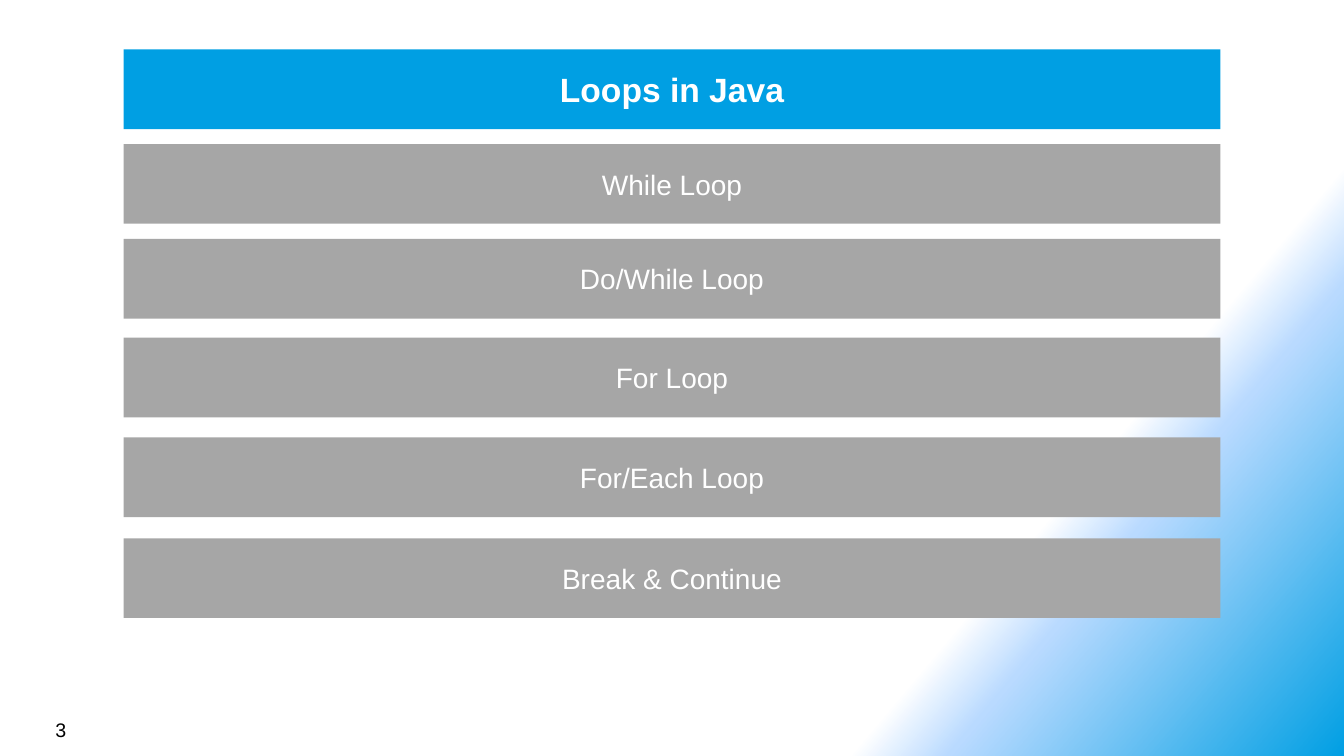
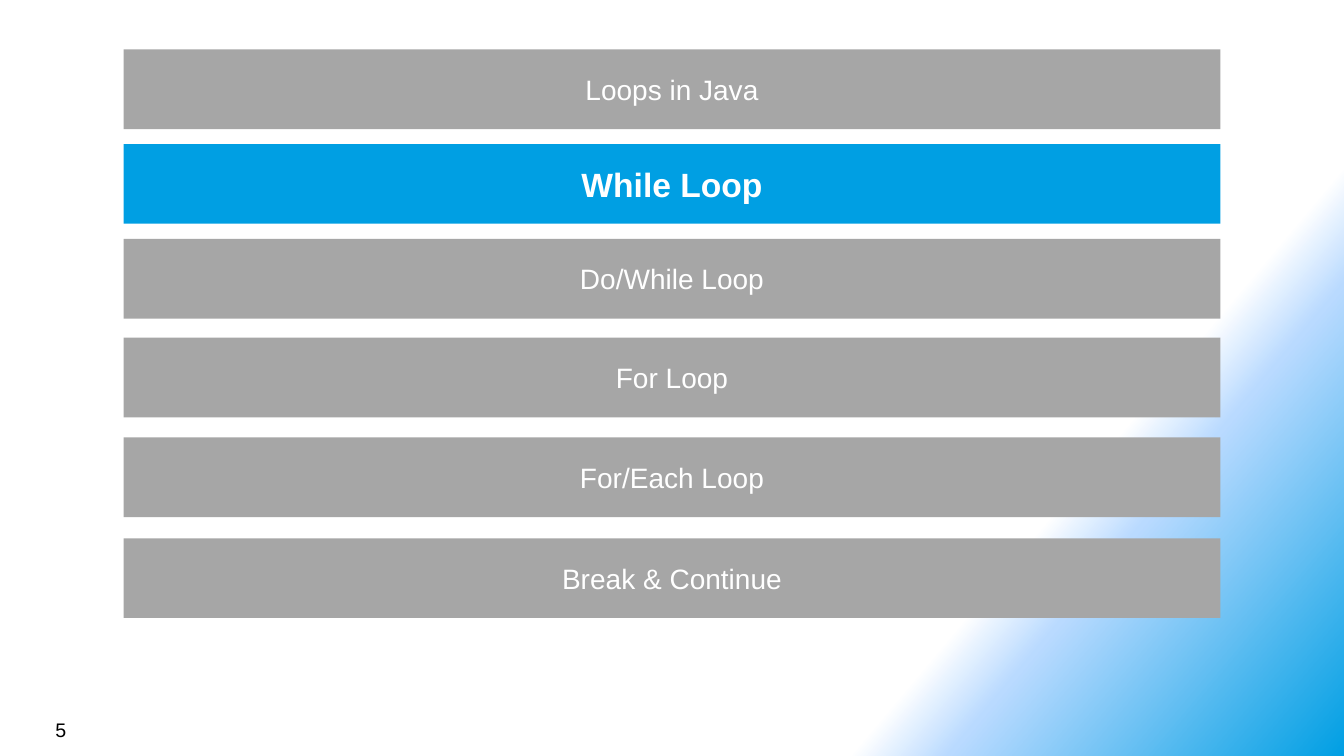
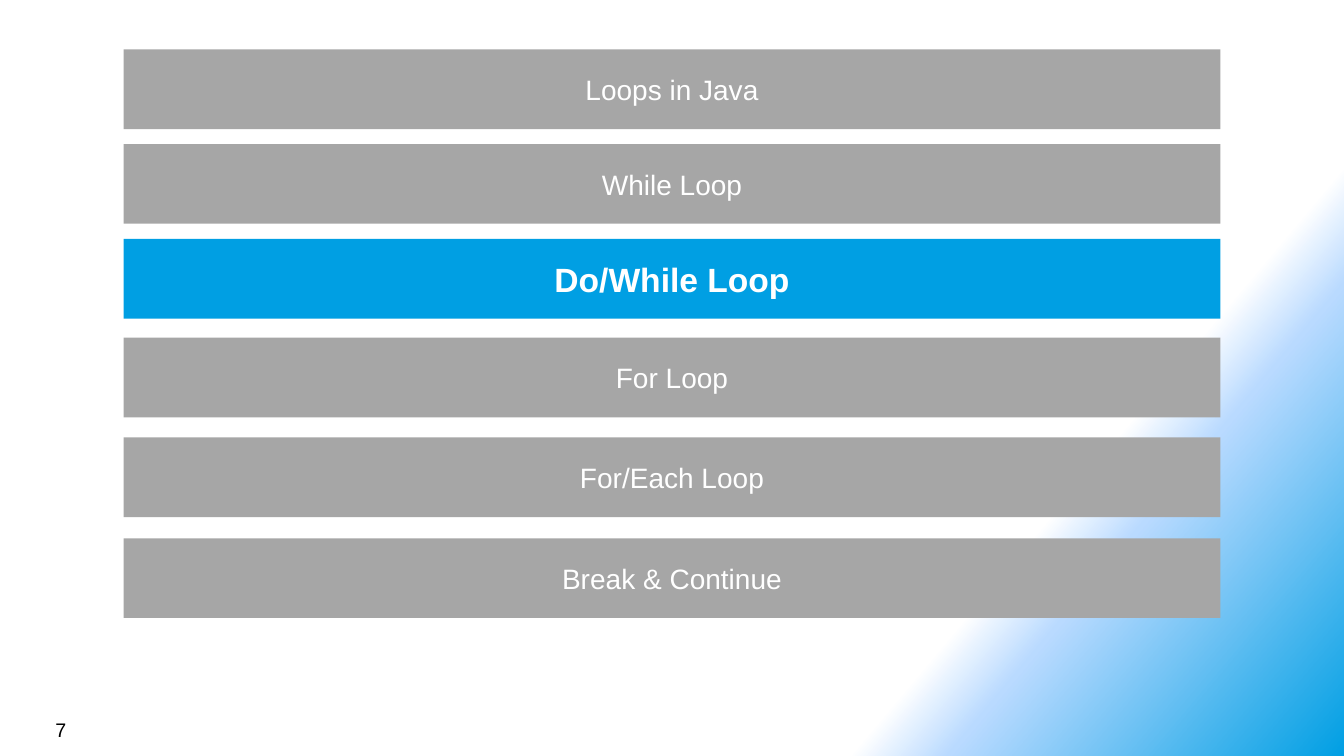
"""Build three agenda slides on Java loops, each with one topic highlighted."""
from typing import NamedTuple

from lxml import etree
from pptx import Presentation
from pptx.dml.color import RGBColor
from pptx.enum.shapes import MSO_SHAPE
from pptx.enum.text import MSO_ANCHOR, PP_ALIGN
from pptx.oxml.ns import qn
from pptx.util import Inches, Pt

RECTANGLE = MSO_SHAPE.RECTANGLE
MIDDLE = MSO_ANCHOR.MIDDLE
CENTER, LEFT = PP_ALIGN.CENTER, PP_ALIGN.LEFT

CELL = Inches(0.01)
COLUMNS, ROWS = 1333, 750
BAR_COLUMNS, BAR_ROWS = 1088, 79
BAR_LEFT = (COLUMNS - BAR_COLUMNS) / 2
BLANK_LAYOUT = 6

WHITE, BLACK, GREY, BLUE, PALE_BLUE = "FFFFFF", "000000", "A6A6A6", "009FE3", "B9DAFF"
PLAIN = {"name": "Arial", "size": Pt(20), "bold": False}
HIGHLIGHT = PLAIN | {"size": Pt(24), "bold": True}
PAGE_NUMBER = PLAIN | {"size": Pt(14)}


class Topic(NamedTuple):
    label: str
    row: int


class Agenda(NamedTuple):
    page: int
    current: str


class Stop(NamedTuple):
    percent: int
    color: str
    opacity: int = 100


TOPICS = (
    Topic("Loops in Java", 49),
    Topic("While Loop", 143),
    Topic("Do/While Loop", 237),
    Topic("For Loop", 335),
    Topic("For/Each Loop", 434),
    Topic("Break & Continue", 534),
)
AGENDAS = (
    Agenda(3, "Loops in Java"),
    Agenda(5, "While Loop"),
    Agenda(7, "Do/While Loop"),
)
BACKGROUND = (Stop(75, WHITE), Stop(80, PALE_BLUE, 50), Stop(100, BLUE))
BACKGROUND_ANGLE = 40


def rgb(color: str) -> RGBColor:
    """Turn a hex string into a colour."""
    return RGBColor.from_string(color)


def grid(*cells: float) -> list[int]:
    """Turn grid cells into lengths."""
    return [int(cell * CELL) for cell in cells]


def paint_background(master) -> None:
    """Give the master the diagonal gradient that all slides share."""
    fill = master.background.fill
    fill.gradient()
    fill.gradient_angle = 360 - BACKGROUND_ANGLE
    stops = next(master.element.iter(qn("a:gsLst")))
    for old in list(stops):
        stops.remove(old)
    for stop in BACKGROUND:
        mark = etree.SubElement(stops, qn("a:gs"), pos=str(stop.percent * 1000))
        color = etree.SubElement(mark, qn("a:srgbClr"), val=stop.color)
        if stop.opacity < 100:
            etree.SubElement(color, qn("a:alpha"), val=str(stop.opacity * 1000))


def write(frame, text: str, style: dict, color: str, alignment: PP_ALIGN) -> None:
    """Write one styled line into a text frame."""
    frame.word_wrap = True
    paragraph = frame.paragraphs[0]
    paragraph.alignment = alignment
    run = paragraph.add_run()
    run.text = text
    for attribute, value in style.items():
        setattr(run.font, attribute, value)
    run.font.color.rgb = rgb(color)


def draw_topic(slide, topic: Topic, is_current: bool) -> None:
    """Draw one topic bar, highlighted when it is the current one."""
    bar = slide.shapes.add_shape(
        RECTANGLE, *grid(BAR_LEFT, topic.row, BAR_COLUMNS, BAR_ROWS))
    bar.shadow.inherit = False
    bar.fill.solid()
    bar.fill.fore_color.rgb = rgb(BLUE if is_current else GREY)
    bar.line.fill.background()
    bar.text_frame.vertical_anchor = MIDDLE
    write(bar.text_frame, topic.label, HIGHLIGHT if is_current else PLAIN, WHITE, CENTER)


def draw_agenda(slide, agenda: Agenda) -> None:
    """Draw all topic bars and the page number."""
    for topic in TOPICS:
        draw_topic(slide, topic, topic.label == agenda.current)
    footer = slide.shapes.add_textbox(*grid(45, 707, 311, 33))
    write(footer.text_frame, str(agenda.page), PAGE_NUMBER, BLACK, LEFT)


def main() -> None:
    """Build and save the presentation."""
    deck = Presentation()
    deck.slide_width, deck.slide_height = grid(COLUMNS, ROWS)
    paint_background(deck.slide_master)
    for agenda in AGENDAS:
        draw_agenda(deck.slides.add_slide(deck.slide_layouts[BLANK_LAYOUT]), agenda)
    deck.save("out.pptx")


if __name__ == "__main__":
    main()
